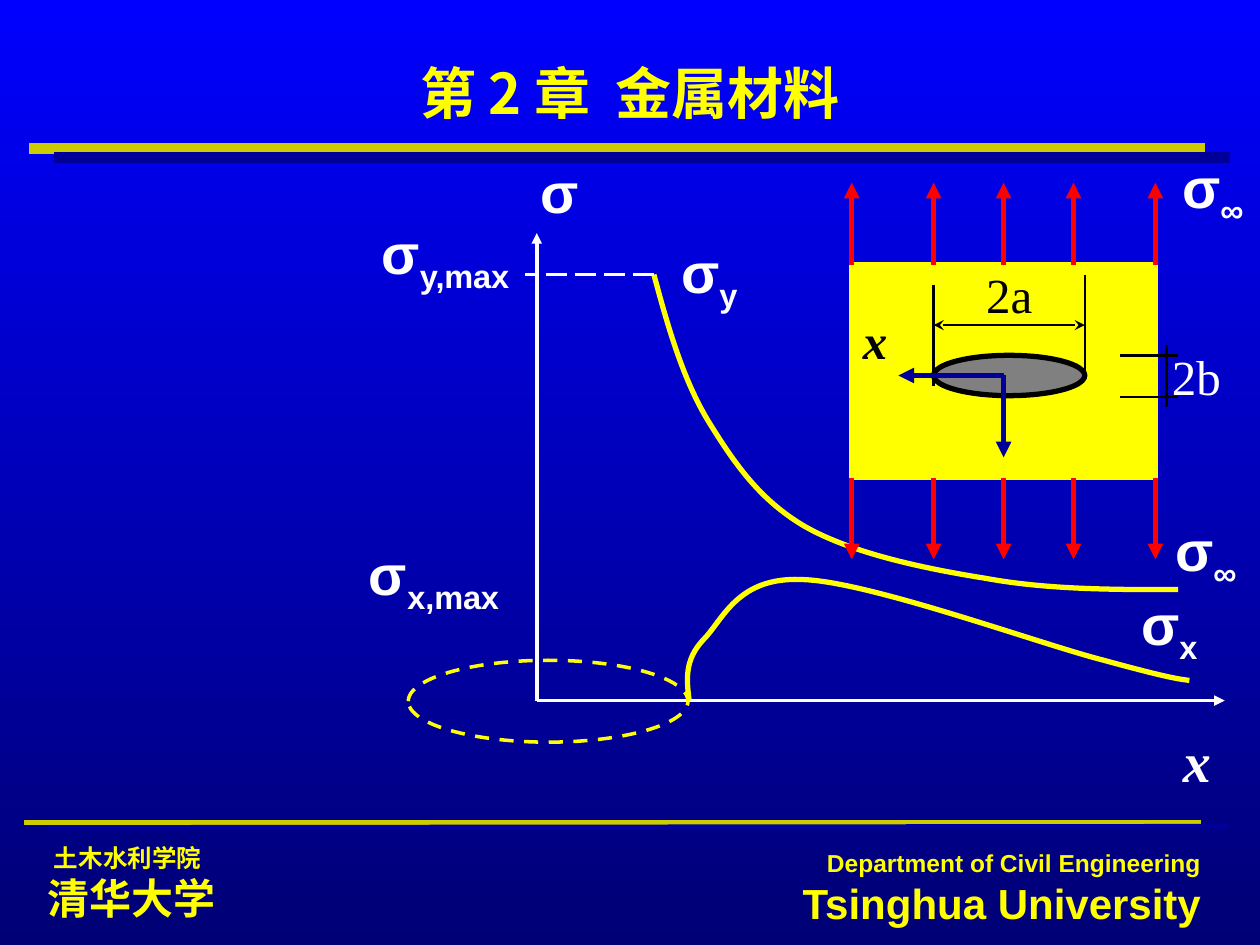
from dataclasses import dataclass

from pptx import Presentation
from pptx.dml.color import RGBColor
from pptx.enum.dml import MSO_LINE
from pptx.enum.shapes import MSO_CONNECTOR, MSO_SHAPE
from pptx.enum.text import MSO_ANCHOR, MSO_AUTO_SIZE, PP_ALIGN
from pptx.oxml.xmlchemy import OxmlElement
from pptx.util import Inches, Pt

ARIAL = "Arial"
TIMES = "Times New Roman"
CHINESE = "Noto Sans CJK SC"
YELLOW, WHITE, BLACK = "FFFF00", "FFFFFF", "000000"
GOLD, NAVY, RED, GREY = "CCCC00", "000099", "FF0000", "808080"

Point = tuple[float, float]
Box = tuple[float, float, float, float]


@dataclass
class Line:
    start: Point
    end: Point
    color: str = BLACK
    width: float = 1.5
    head: str = ""
    tail: str = ""
    dash: MSO_LINE | None = None


@dataclass
class Label:
    box: Box
    text: str
    subscript: str = ""
    size: float = 32
    font: str = ARIAL
    color: str = WHITE
    bold: bool = True
    italic: bool = False
    margins: Point = (0.1, 0.05)
    wrap: bool = True


def rgb(color: str) -> RGBColor:
    return RGBColor.from_string(color)


def set_outline(shape, color: str, width: float, dash=None) -> None:
    shape.line.color.rgb = rgb(color)
    shape.line.width = Pt(width)
    if dash is not None:
        shape.line.dash_style = dash


def add_line(slide, line: Line):
    connector = slide.shapes.add_connector(
        MSO_CONNECTOR.STRAIGHT, *map(Inches, line.start + line.end))
    set_outline(connector, line.color, line.width, line.dash)
    for tag, kind in (("a:headEnd", line.head), ("a:tailEnd", line.tail)):
        if kind:
            arrowhead = OxmlElement(tag)
            arrowhead.set("type", kind)
            connector.line._get_or_add_ln().append(arrowhead)
    connector._element.spPr.append(OxmlElement("a:effectLst"))
    return connector


def add_shape(slide, preset, box: Box, color: str, width: float, fill="", dash=None):
    shape = slide.shapes.add_shape(preset, *map(Inches, box))
    shape.shadow.inherit = False
    if fill:
        shape.fill.solid()
        shape.fill.fore_color.rgb = rgb(fill)
    else:
        shape.fill.background()
    set_outline(shape, color, width, dash)
    return shape


def add_curve(slide, points: list[Point]) -> None:
    start, *others = [(Inches(x), Inches(y)) for x, y in points]
    builder = slide.shapes.build_freeform(*start)
    builder.add_line_segments(others, close=False)
    shape = builder.convert_to_shape()
    shape.shadow.inherit = False
    shape.fill.background()
    set_outline(shape, YELLOW, 3)
    segments = shape._element.xpath(".//a:lnTo")
    for index in range(0, len(segments), 3):
        bezier = OxmlElement("a:cubicBezTo")
        segments[index].addprevious(bezier)
        for segment in segments[index:index + 3]:
            bezier.append(segment[0])
            segment.getparent().remove(segment)


def add_text_frame(slide, box: Box, margins: Point = (0.1, 0.05), wrap=True, grow=True):
    frame = slide.shapes.add_textbox(*map(Inches, box)).text_frame
    frame.word_wrap = wrap
    frame.auto_size = MSO_AUTO_SIZE.SHAPE_TO_FIT_TEXT if grow else MSO_AUTO_SIZE.NONE
    frame.vertical_anchor = MSO_ANCHOR.MIDDLE
    frame.margin_left = frame.margin_right = Inches(margins[0])
    frame.margin_top = frame.margin_bottom = Inches(margins[1])
    return frame


def add_run(paragraph, text: str, *, size: float, font=ARIAL, color=YELLOW,
            bold=True, italic=False, baseline=0, spacing=0) -> None:
    run = paragraph.add_run()
    run.text = text
    run.font.size = Pt(size)
    run.font.name = font
    run.font.bold = bold
    run.font.italic = italic
    run.font.color.rgb = rgb(color)
    properties = run._r.get_or_add_rPr()
    east_asian = OxmlElement("a:ea")
    east_asian.set("typeface", CHINESE)
    properties.append(east_asian)
    if baseline:
        properties.set("baseline", str(baseline * 1000))
    if spacing:
        properties.set("spc", str(spacing * 100))


def add_label(slide, label: Label) -> None:
    paragraph = add_text_frame(slide, label.box, label.margins, label.wrap).paragraphs[0]
    paragraph.alignment = PP_ALIGN.CENTER
    style = dict(size=label.size, font=label.font, color=label.color,
                 bold=label.bold, italic=label.italic)
    add_run(paragraph, label.text, **style)
    if label.subscript:
        add_run(paragraph, label.subscript, baseline=-25, **style)


def add_footer(slide, box: Box, department: str, university: str, alignment, indent=0.0) -> None:
    frame = add_text_frame(slide, box)
    first, second = frame.paragraphs[0], frame.add_paragraph()
    first._p.get_or_add_pPr().set("marL", str(Inches(indent)))
    for paragraph, text, size in ((first, department, 14), (second, university, 24)):
        paragraph.alignment = alignment
        add_run(paragraph, text, size=size)


def add_frame(slide) -> None:
    fill = slide.background.fill
    fill.gradient()
    fill.gradient_angle = 270
    for stop, color in zip(fill.gradient_stops, ("0000FF", "000075")):
        stop.color.rgb = rgb(color)
    for line in (
        Line((0.23, 1.18), (9.56, 1.18), GOLD, 6),
        Line((0.43, 1.25), (9.76, 1.25), NAVY, 6),
        Line((0.19, 6.53), (9.53, 6.53), GOLD, 3),
        Line((0.38, 6.57), (9.75, 6.56), NAVY, 3),
    ):
        add_line(slide, line)
    add_footer(slide, (0.28, 6.62, 3.98, 0.77), "土木水利学院", "清华大学", PP_ALIGN.LEFT, 0.05)
    add_footer(slide, (5.65, 6.68, 3.98, 0.74), "Department of Civil Engineering",
               "Tsinghua University", PP_ALIGN.RIGHT)
    title = add_text_frame(slide, (0.75, 0.39, 8.5, 0.68), grow=False).paragraphs[0]
    title.alignment = PP_ALIGN.CENTER
    for text, spacing in (("第 2 章", 0), (" ", 7), ("金属材料", 0)):
        add_run(title, text, size=32, font=CHINESE, spacing=spacing)


def add_stress_graph(slide) -> None:
    origin = (4.26, 5.56)
    add_line(slide, Line(origin, (4.26, 1.85), WHITE, 2, tail="triangle"))
    add_line(slide, Line(origin, (9.72, 5.56), WHITE, 2, tail="triangle"))
    add_shape(slide, MSO_SHAPE.OVAL, (3.24, 5.24, 2.22, 0.65), YELLOW, 2, dash=MSO_LINE.DASH)
    add_curve(slide, [(5.19, 2.18), (5.3, 2.59), (5.42, 3.01), (5.62, 3.34),
                      (5.83, 3.68), (6.03, 3.97), (6.39, 4.18),
                      (6.76, 4.39), (7.32, 4.51), (7.82, 4.59),
                      (8.31, 4.68), (8.83, 4.68), (9.35, 4.68)])
    add_curve(slide, [(5.47, 5.56), (5.45, 5.4), (5.43, 5.24), (5.58, 5.08),
                      (5.74, 4.92), (5.85, 4.57), (6.38, 4.6),
                      (6.91, 4.62), (8.25, 5.11), (8.76, 5.24),
                      (9.27, 5.38), (9.36, 5.39), (9.44, 5.4)])
    add_line(slide, Line((5.19, 2.18), (4.17, 2.18), WHITE, dash=MSO_LINE.LONG_DASH))
    for label in (
        Label((9.26, 5.71, 0.48, 0.64), "x", font=TIMES, italic=True),
        Label((4.19, 1.2, 0.47, 0.64), "σ", wrap=False),
        Label((5.28, 1.83, 0.7, 0.71), "σ", "y"),
        Label((8.93, 4.63, 0.7, 0.71), "σ", "x"),
        Label((2.72, 1.73, 1.63, 0.61), "σ", "y,max", margins=(0, 0)),
        Label((2.63, 4.23, 1.63, 0.71), "σ", "x,max"),
    ):
        add_label(slide, label)


def add_plate(slide) -> None:
    left, top, width, height = 6.76, 2.1, 2.41, 1.69
    center, bottom, pull = left + width / 2, top + height, 0.65
    plate = add_shape(slide, MSO_SHAPE.RECTANGLE, (left, top, width, height), YELLOW, 3, YELLOW)
    add_shape(slide, MSO_SHAPE.OVAL, (7.41, 2.82, 1.2, 0.32), BLACK, 3, GREY)
    for x in (left, left + pull, center, left + width - pull, left + width):
        for edge, end, site in ((top, top - pull, 0), (bottom, bottom + pull, 2)):
            arrow = add_line(slide, Line((x, edge), (x, end), RED, 3, tail="triangle"))
            if x == center:
                arrow.begin_connect(plate, site)
    for line in (
        Line((7.41, 2.26), (7.41, 3.06)),
        Line((8.61, 2.18), (8.61, 2.98)),
        Line((7.41, 2.58), (8.61, 2.58), head="stealth", tail="stealth"),
        Line((8.89, 2.82), (9.35, 2.82)),
        Line((8.89, 3.15), (9.35, 3.15)),
        Line((9.26, 3.23), (9.26, 2.74)),
        Line((center, 2.98), (7.13, 2.98), NAVY, 3, tail="triangle"),
        Line((center, 2.98), (center, 3.63), NAVY, 3, tail="triangle"),
    ):
        add_line(slide, line)
    for label in (
        Label((7.71, 2.05, 0.6, 0.57), "2a", "", 28, TIMES, BLACK, False, wrap=False),
        Label((9.19, 2.7, 0.61, 0.57), "2b", "", 28, TIMES, WHITE, False, wrap=False),
        Label((6.67, 2.41, 0.55, 0.57), "x", "", 28, TIMES, BLACK, italic=True),
        Label((9.25, 1.21, 0.75, 0.61), "σ", "∞", margins=(0, 0)),
        Label((9.14, 4.09, 0.86, 0.61), "σ", "∞", margins=(0, 0)),
    ):
        add_label(slide, label)


def main() -> None:
    presentation = Presentation()
    presentation.slide_width, presentation.slide_height = Inches(10), Inches(7.5)
    slide = presentation.slides.add_slide(presentation.slide_layouts[6])
    add_frame(slide)
    add_stress_graph(slide)
    add_plate(slide)
    presentation.save("out.pptx")


if __name__ == "__main__":
    main()
